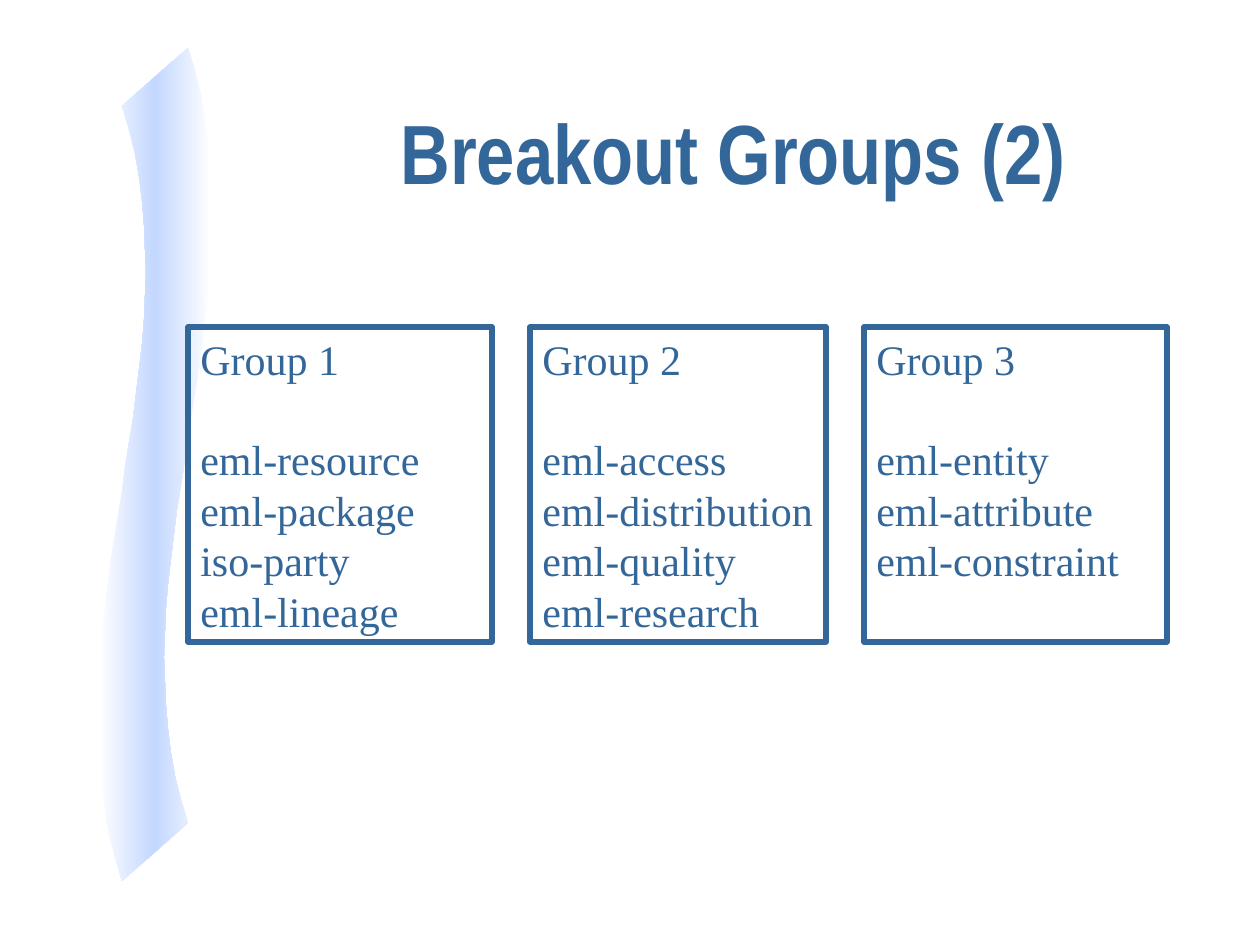
import pptx
import pptx.dml.color
import pptx.enum.shapes
import pptx.enum.text
import pptx.util

PX = 914400 / 126
THEME = {
    "ink": pptx.dml.color.RGBColor.from_string("336699"),
    "ribbon_edge": pptx.dml.color.RGBColor.from_string("FFFFFF"),
    "ribbon_middle": pptx.dml.color.RGBColor.from_string("C3D7FF"),
    "title_font": "Arial Narrow",
    "body_font": "Times New Roman",
    "title_size": pptx.util.Pt(48),
    "body_size": pptx.util.Pt(24),
    "line_pitch": pptx.util.Pt(28.8),
    "border": pptx.util.Pt(3),
}


def px(*lengths):
    """Turn pixel lengths into EMU."""
    return [round(length * PX) for length in lengths]


def bezier(a, b, c, d, steps=32):
    """Sample a cubic curve from a to d."""
    return [
        tuple(
            (1 - t) ** 3 * p0 + 3 * (1 - t) ** 2 * t * p1 + 3 * (1 - t) * t**2 * p2 + t**3 * p3
            for p0, p1, p2, p3 in zip(a, b, c, d)
        )
        for t in (i / steps for i in range(steps + 1))
    ]


prs = pptx.Presentation()
prs.slide_width, prs.slide_height = px(1260, 945)
s = prs.slides.add_slide(prs.slide_layouts[6])

# Curved ribbon
left_edge = bezier((122, 881), (39, 631), (204, 354), (122, 106))
right_edge = bezier((188, 48), (271, 297), (106, 575), (188, 823))
outline = left_edge + right_edge
builder = s.shapes.build_freeform(*outline[0], scale=PX)
builder.add_line_segments(outline[1:], close=True)
ribbon = builder.convert_to_shape()
ribbon.shadow.inherit = False
ribbon.line.fill.background()
ribbon.fill.gradient()
ribbon.fill.gradient_angle = 0
stops = ribbon.fill._fill._gradFill.gsLst
stops.append(pptx.oxml.parse_xml(pptx.oxml.xmlchemy.serialize_for_reading(stops[0])))
for stop, position, color in zip(
    ribbon.fill.gradient_stops, (0, 0.5, 1), ("ribbon_edge", "ribbon_middle", "ribbon_edge")
):
    stop.position = position
    stop.color.rgb = THEME[color]

# Title
title = s.shapes.add_textbox(*px(388, 84, 840, 158))
tf = title.text_frame
tf.word_wrap = True
tf.vertical_anchor = pptx.enum.text.MSO_ANCHOR.MIDDLE
tf.text = "Breakout Groups (2)"
p = tf.paragraphs[0]
p.line_spacing = 0.7
p.font.name = THEME["title_font"]
p.font.size = THEME["title_size"]
p.font.bold = True
p.font.color.rgb = THEME["ink"]

# Group boxes: left, width, wrap, heading, modules
groups = [
    (188, 304, True, "Group 1", ["eml-resource", "eml-package", "iso-party", "eml-lineage"]),
    (530, 296, False, "Group 2", ["eml-access", "eml-distribution", "eml-quality", "eml-research"]),
    (864, 303, True, "Group 3", ["eml-entity", "eml-attribute", "eml-constraint"]),
]
for left, width, wrap, heading, modules in groups:
    box = s.shapes.add_shape(
        pptx.enum.shapes.MSO_SHAPE.RECTANGLE, *px(left, 327, width, 315)
    )
    box.shadow.inherit = False
    box.fill.background()
    box.line.color.rgb = THEME["ink"]
    box.line.width = THEME["border"]
    tf = box.text_frame
    tf.word_wrap = wrap
    tf.vertical_anchor = pptx.enum.text.MSO_ANCHOR.TOP
    tf.text = "\n".join([heading, *modules])
    for p in tf.paragraphs:
        p.alignment = pptx.enum.text.PP_ALIGN.LEFT
        p.line_spacing = THEME["line_pitch"]
        p.font.name = THEME["body_font"]
        p.font.size = THEME["body_size"]
        p.font.color.rgb = THEME["ink"]
    tf.paragraphs[0].space_after = THEME["line_pitch"]

prs.save("out.pptx")
